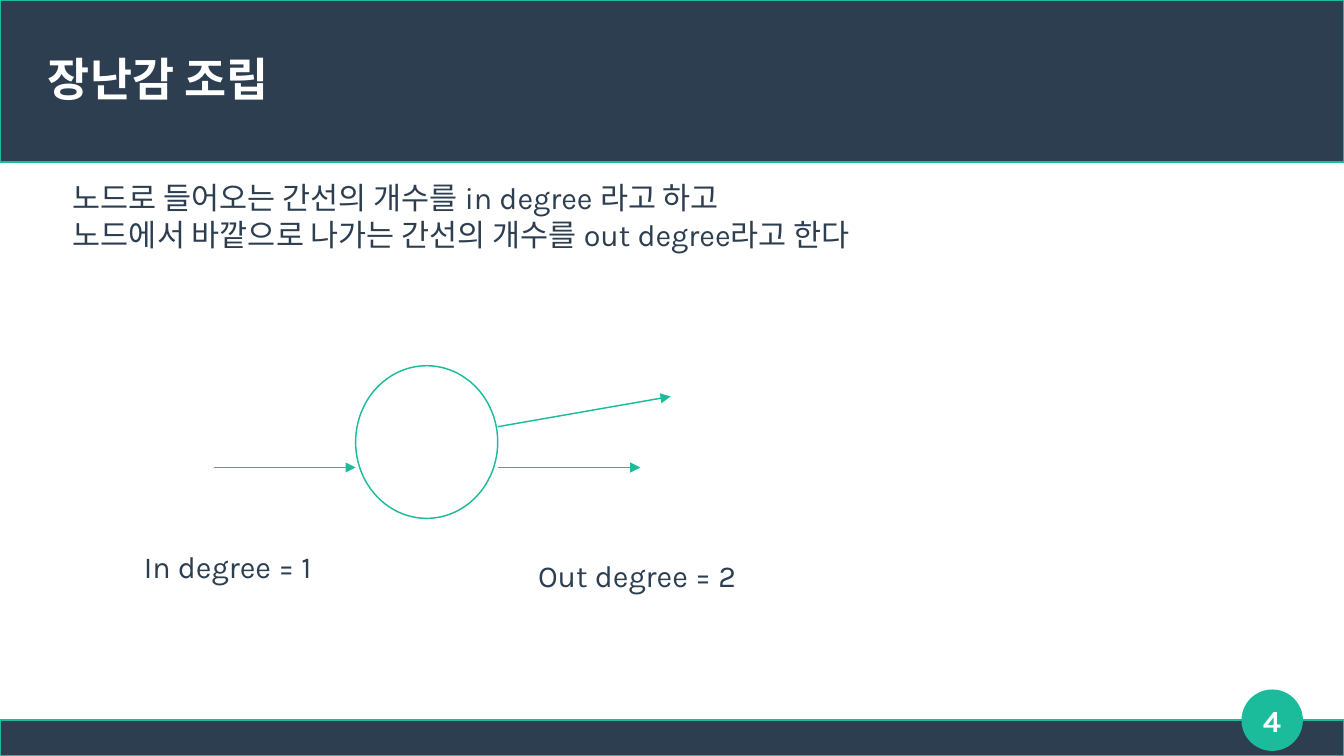
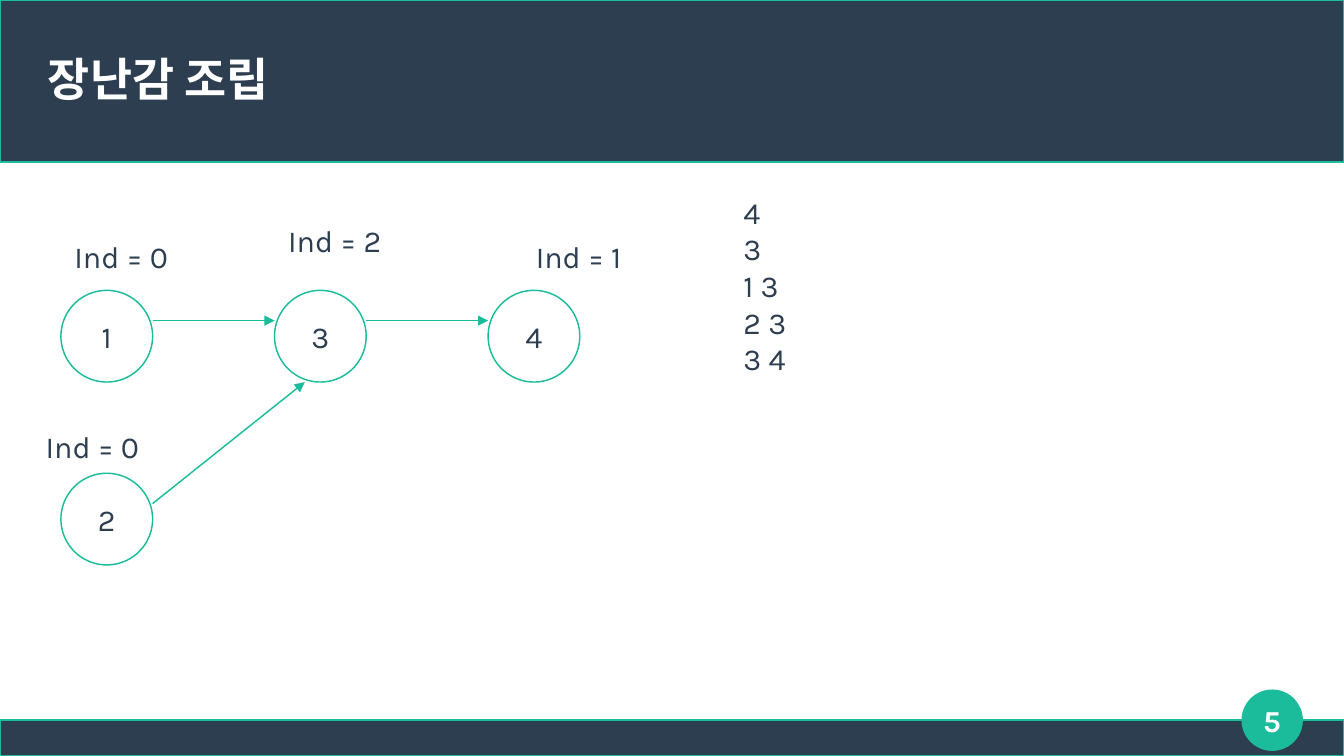
import pptx
import pptx.util
import pptx.dml.color
import pptx.enum.shapes
import pptx.enum.text
import pptx.oxml.ns
import lxml.etree

Cm = pptx.util.Cm
Pt = pptx.util.Pt
SHAPES = pptx.enum.shapes.MSO_SHAPE
ALIGN = pptx.enum.text.PP_ALIGN
ANCHOR = pptx.enum.text.MSO_ANCHOR
FIT = pptx.enum.text.MSO_AUTO_SIZE

NAVY, TEAL, WHITE = "2C3E50", "1ABC9C", "FFFFFF"
FONT = "Karla"
LINE_WIDTH = 0.85
SLIDE_W, SLIDE_H = 28, 15.75
TITLE = "장난감 조립"
NODE_SIZE = 1.91
NODE_X, NODE_Y = 1.27, 6.05
COLUMN_STEP, ROW_STEP = 4.45, 3.81
EDGE_DROP = 0.63


def color(hex_text):
    return pptx.dml.color.RGBColor.from_string(hex_text)


def write(frame, text, size=18, ink=NAVY, bold=False, align=ALIGN.CENTER,
          anchor=ANCHOR.MIDDLE, wrap=False, inset=True):
    frame.text = text
    frame.word_wrap = wrap
    frame.vertical_anchor = anchor
    side, edge = (0.25, 0.13) if inset else (0, 0)
    frame.margin_left = frame.margin_right = Cm(side)
    frame.margin_top = frame.margin_bottom = Cm(edge)
    for paragraph in frame.paragraphs:
        paragraph.alignment = align
        for run in paragraph.runs:
            run.font.name = FONT
            run.font.size = Pt(size)
            run.font.bold = bold
            run.font.color.rgb = color(ink)


def add_label(slide, text, x, y, width, height, grow=True, **style):
    label = slide.shapes.add_textbox(Cm(x), Cm(y), Cm(width), Cm(height))
    write(label.text_frame, text, **style)
    label.text_frame.auto_size = FIT.SHAPE_TO_FIT_TEXT if grow else FIT.NONE


def add_outlined(slide, preset, x, y, width, height, fill):
    outlined = slide.shapes.add_shape(preset, Cm(x), Cm(y), Cm(width), Cm(height))
    outlined.shadow.inherit = False
    outlined.fill.solid()
    outlined.fill.fore_color.rgb = color(fill)
    outlined.line.color.rgb = color(TEAL)
    outlined.line.width = Pt(LINE_WIDTH)
    return outlined


def add_arrow(slide, start, end):
    arrow = slide.shapes.add_connector(
        pptx.enum.shapes.MSO_CONNECTOR.STRAIGHT,
        *(Cm(value) for value in (*start, *end)))
    arrow.line.color.rgb = color(TEAL)
    arrow.line.width = Pt(LINE_WIDTH)
    qn = pptx.oxml.ns.qn
    lxml.etree.SubElement(arrow.line._get_or_add_ln(), qn("a:tailEnd"), type="triangle")
    lxml.etree.SubElement(arrow._element.spPr, qn("a:effectLst"))


def add_base_slide(deck, number):
    slide = deck.slides.add_slide(deck.slide_layouts[6])
    slide.background.fill.solid()
    slide.background.fill.fore_color.rgb = color(WHITE)
    add_outlined(slide, SHAPES.RECTANGLE, 0, 15, SLIDE_W, 0.75, NAVY)
    add_outlined(slide, SHAPES.RECTANGLE, 0, 0, SLIDE_W, 3.38, NAVY)
    add_outlined(slide, SHAPES.OVAL, 25.88, 14.38, 1.25, 1.25, TEAL)
    heading = dict(ink=WHITE, bold=True, wrap=True, inset=False, grow=False)
    add_label(slide, TITLE, 1, 0.64, 26, 2, size=27, align=ALIGN.LEFT, **heading)
    add_label(slide, str(number), 25.5, 14.38, 2, 1.25, **heading)
    return slide


def build_degree_slide(deck):
    slide = add_base_slide(deck, 4)
    add_outlined(slide, SHAPES.OVAL, 7.41, 7.62, 2.96, 3.18, WHITE)
    for start, end in (((4.45, 9.74), (7.41, 9.74)),
                       ((10.37, 9.74), (13.34, 9.74)),
                       ((10.37, 8.89), (13.97, 8.26))):
        add_arrow(slide, start, end)
    definition = ("노드로 들어오는 간선의 개수를 in degree 라고 하고\n"
                  "노드에서 바깥으로 나가는 간선의 개수를 out degree라고 한다")
    add_label(slide, definition, 1.27, 3.6, 17.78, 3.02,
              align=ALIGN.LEFT, anchor=ANCHOR.TOP, wrap=True)
    add_label(slide, "In degree = 1", 2.51, 10.8, 4.47, 1.98, grow=False, wrap=True)
    add_label(slide, "Out degree = 2", 10.8, 11.43, 4.95, 1.12)


def build_graph_slide(deck):
    slide = add_base_slide(deck, 5)
    cells = {"1": (0, 0), "2": (0, 1), "3": (1, 0), "4": (2, 0)}
    corners = {name: (NODE_X + column * COLUMN_STEP, NODE_Y + row * ROW_STEP)
               for name, (column, row) in cells.items()}
    for name, (x, y) in corners.items():
        node = add_outlined(slide, SHAPES.OVAL, x, y, NODE_SIZE, NODE_SIZE, WHITE)
        write(node.text_frame, name)

    def right_of(name):
        x, y = corners[name]
        return x + NODE_SIZE, y + EDGE_DROP

    def left_of(name):
        x, y = corners[name]
        return x, y + EDGE_DROP

    def below(name):
        x, y = corners[name]
        return x + EDGE_DROP, y + NODE_SIZE

    add_arrow(slide, right_of("1"), left_of("3"))
    add_arrow(slide, right_of("2"), below("3"))
    add_arrow(slide, right_of("3"), left_of("4"))

    for degree, x, y in ((2, 5.69, 4.45), (1, 10.77, 4.78),
                         (0, 1.24, 4.78), (0, 0.64, 8.74)):
        add_label(slide, f"Ind = {degree}", x, y, 2.57, 1.12)
    add_label(slide, "4\n3\n1 3\n2 3\n3 4", 15.24, 3.91, 1.4, 4.57,
              align=ALIGN.LEFT, anchor=ANCHOR.TOP)


def main():
    deck = pptx.Presentation()
    deck.slide_width, deck.slide_height = Cm(SLIDE_W), Cm(SLIDE_H)
    build_degree_slide(deck)
    build_graph_slide(deck)
    deck.save("out.pptx")


if __name__ == "__main__":
    main()
